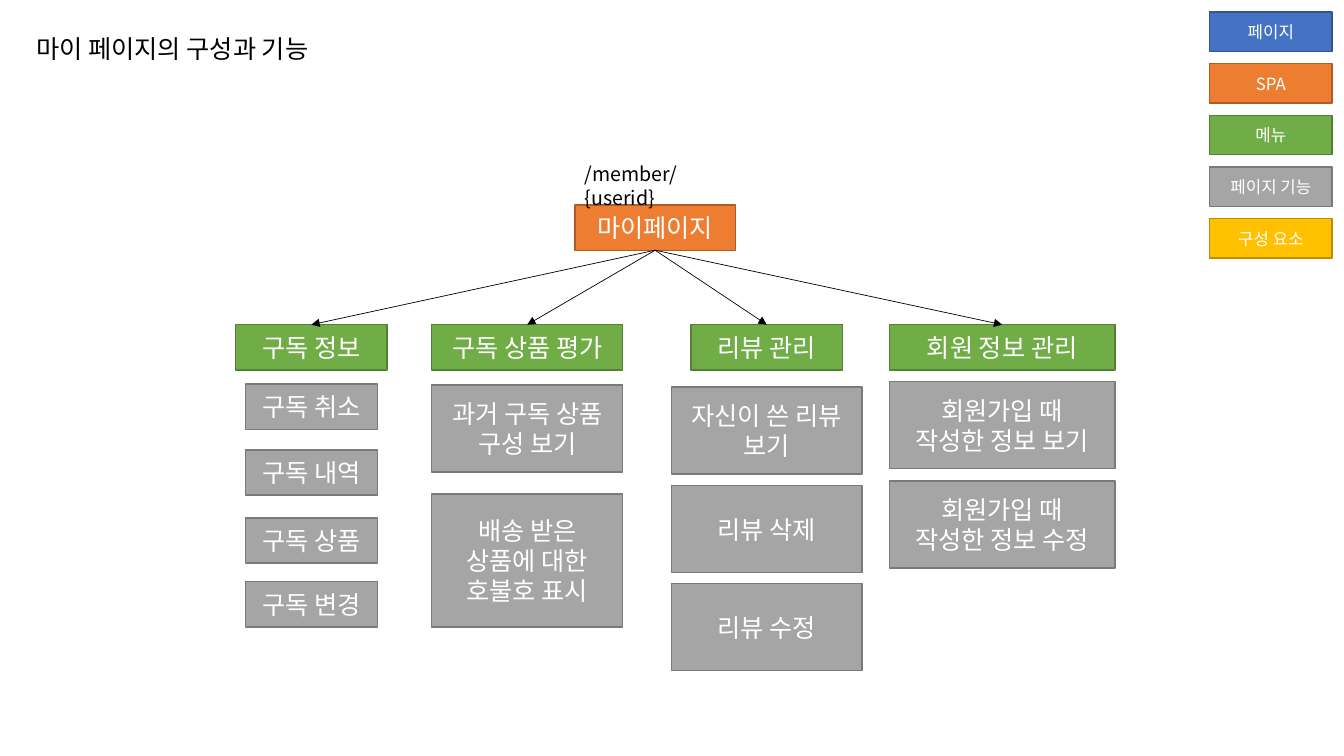
from lxml.etree import SubElement
from pptx import Presentation
from pptx.dml.color import RGBColor
from pptx.enum.shapes import MSO_CONNECTOR as Connector, MSO_SHAPE as Shape
from pptx.enum.text import MSO_ANCHOR as Anchor, MSO_AUTO_SIZE as AutoSize, PP_ALIGN as Align
from pptx.oxml.ns import qn
from pptx.util import Inches, Pt

FONT = "Noto Sans CJK KR"
BLUE, ORANGE, GREEN = ("4472C4", "325491"), ("ED7D31", "AF5C24"), ("70AD47", "538035")
GRAY, YELLOW = ("A5A5A5", "7A7A7A"), ("FFC000", "BD8E00")

deck = Presentation()
deck.slide_width, deck.slide_height = Inches(13.33), Inches(7.5)
COL, ROW = deck.slide_width / 100, deck.slide_height / 100
page = deck.slides.add_slide(deck.slide_layouts[5])


def write(shape, text, size, color, align, anchor, wrap):
    frame = shape.text_frame
    frame.text = text
    frame.auto_size = AutoSize.NONE
    frame.word_wrap = wrap
    frame.vertical_anchor = anchor
    for para in frame.paragraphs:
        para.alignment = align
        for span in para.runs:
            span.font.size = Pt(size)
            span.font.name = FONT
            span.font.color.rgb = RGBColor.from_string(color)
            SubElement(span.font._element, qn("a:ea")).set("typeface", FONT)


def add_box(center, top, width, height, text, colors, size=18):
    box = page.shapes.add_shape(
        Shape.RECTANGLE, int((center - width / 2) * COL), int(top * ROW),
        int(width * COL), int(height * ROW))
    box.shadow.inherit = False
    box.fill.solid()
    box.fill.fore_color.rgb = RGBColor.from_string(colors[0])
    box.line.color.rgb = RGBColor.from_string(colors[1])
    box.line.width = Pt(1)
    write(box, text, size, "FFFFFF", Align.CENTER, Anchor.MIDDLE, True)
    return box


legend = [("페이지", BLUE), ("SPA", ORANGE), ("메뉴", GREEN),
          ("페이지 기능", GRAY), ("구성 요소", YELLOW)]
for index, (label, colors) in enumerate(legend):
    add_box(94.56, 1.6 + 6.83 * index, 9.1, 5.2, label, colors, 12)

my_page = add_box(48.75, 27.1, 11.95, 6, "마이페이지", ORANGE)

menus = [
    ("구독 정보", 23.17, 11.25, 9.85,
     [("구독 취소", 50.8, 6), ("구독 내역", 59.5, 6),
      ("구독 상품", 68.5, 6), ("구독 변경", 76.95, 6)]),
    ("구독 상품 평가", 39.23, 14.2, 14.2,
     [("과거 구독 상품 구성 보기", 50.95, 11.5),
      ("배송 받은 상품에 대한 호불호 표시", 65.35, 17.6)]),
    ("리뷰 관리", 57.05, 11.25, 14.2,
     [("자신이 쓴 리뷰\n보기", 51.2, 11.5), ("리뷰 삭제", 64.25, 11.5),
      ("리뷰 수정", 77.2, 11.5)]),
    ("회원 정보 관리", 74.57, 16.8, 16.8,
     [("회원가입 때\n작성한 정보 보기", 50.5, 11.5),
      ("회원가입 때\n작성한 정보 수정", 63.65, 11.5)]),
]
for name, center, menu_width, feature_width, features in menus:
    menu = add_box(center, 42.95, menu_width, 6, name, GREEN)
    for feature, top, height in features:
        add_box(center, top, feature_width, height, feature, GRAY)

    arrow = page.shapes.add_connector(Connector.STRAIGHT, 0, 0, 0, 0)
    arrow.begin_connect(my_page, 2)
    arrow.end_connect(menu, 0)
    arrow.line.color.rgb = RGBColor.from_string("000000")
    arrow.line.width = Pt(0.5)
    SubElement(arrow.line._get_or_add_ln(), qn("a:tailEnd")).set("type", "triangle")
    SubElement(arrow._element.spPr, qn("a:effectLst"))

title = page.shapes.title
title.left, title.top = int(1.95 * COL), int(3.75 * ROW)
title.width, title.height = int(24.4 * COL), int(5.35 * ROW)
write(title, "마이 페이지의 구성과 기능", 18, "000000", Align.LEFT, Anchor.TOP, False)

address = page.shapes.add_textbox(
    int(42.75 * COL), int(20.8 * ROW), int(13.2 * COL), int(4.5 * ROW))
write(address, "/member/{userid}", 14, "000000", Align.LEFT, Anchor.TOP, True)

deck.save("out.pptx")
